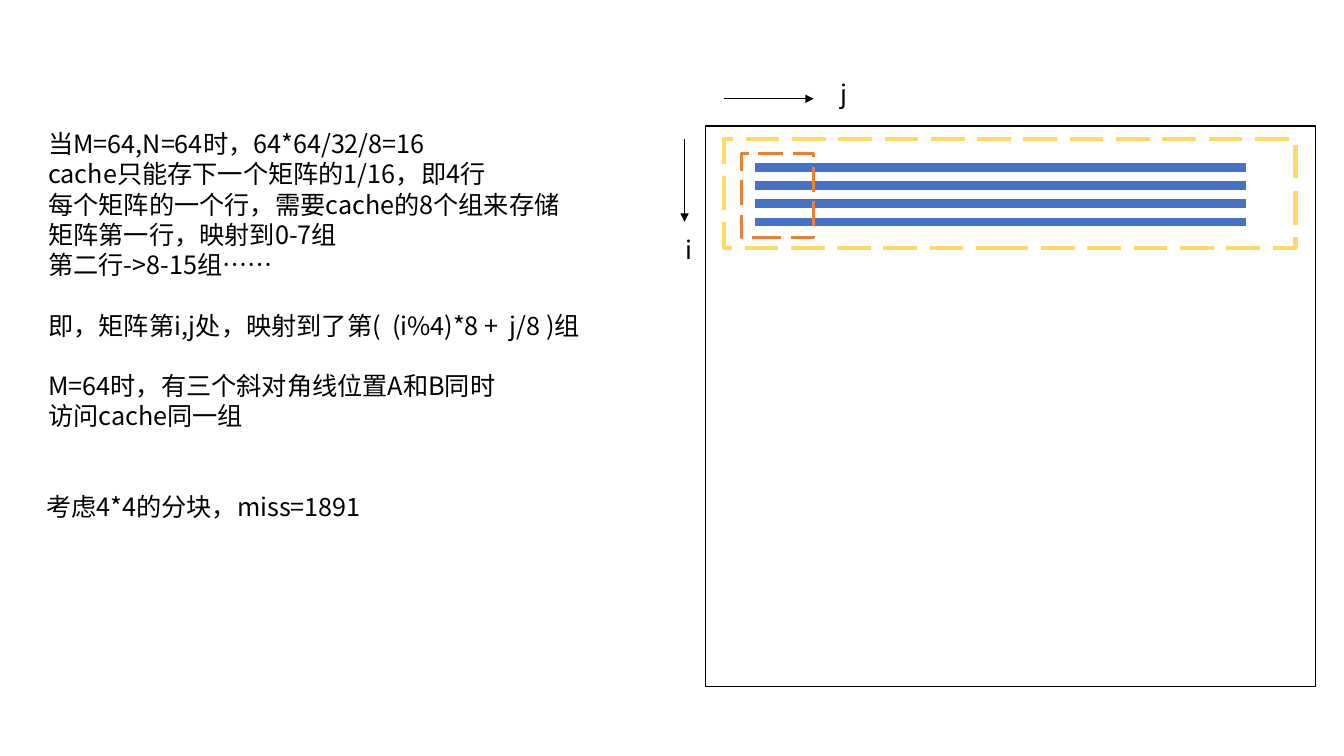
from lxml.etree import SubElement
from pptx import Presentation
from pptx.dml.color import RGBColor as RGB
from pptx.enum.dml import MSO_LINE as Dash
from pptx.enum.shapes import MSO_CONNECTOR as Link, MSO_SHAPE as Shape
from pptx.oxml.ns import qn
from pptx.util import Inches, Pt

FONT = "Noto Sans CJK SC"
COLORS = {"ink": "000000", "row": "4472C4", "band": "FFD966", "block": "ED7D31"}
LEAD = 21.7

RULES = [
    "当M=64,N=64时，64*64/32/8=16",
    "cache只能存下一个矩阵的1/16，即4行",
    "每个矩阵的一个行，需要cache的8个组来存储",
    "矩阵第一行，映射到0-7组",
    "第二行->8-15组……",
    "即，矩阵第i,j处，映射到了第(  (i%4)*8 +  j/8 )组",
]
CLASH = "M=64时，有三个斜对角线位置A和B同时访问cache同一组"
RESULT = "考虑4*4的分块，miss=1891"


def color(name):
    return RGB.from_string(COLORS[name])


def add_text(slide, box, lines, gaps=()):
    frame = slide.shapes.add_textbox(*map(Inches, box)).text_frame
    frame.word_wrap = True
    for n, line in enumerate(lines):
        para = frame.paragraphs[0] if n == 0 else frame.add_paragraph()
        para.text = line
        para.line_spacing = Pt(LEAD)
        if n in gaps:
            para.space_before = Pt(LEAD)
        font = para.font
        font.size = Pt(18)
        font.name = FONT
        font.color.rgb = color("ink")
        SubElement(font._rPr, qn("a:ea"), typeface=FONT)


def add_frame(slide, box, tint, width, dash=None):
    rect = slide.shapes.add_shape(Shape.RECTANGLE, *map(Inches, box))
    rect.shadow.inherit = False
    rect.fill.background()
    rect.line.color.rgb = color(tint)
    rect.line.width = Pt(width)
    if dash:
        rect.line.dash_style = dash


def add_line(slide, ends, tint, width, arrow=False):
    link = slide.shapes.add_connector(Link.STRAIGHT, *map(Inches, ends))
    link.line.color.rgb = color(tint)
    link.line.width = Pt(width)
    if arrow:
        SubElement(link.line._get_or_add_ln(), qn("a:tailEnd"), type="triangle")
    SubElement(link._element.spPr, qn("a:effectLst"))


def add_notes(slide, left, top, width):
    add_text(slide, (left, top, width, 2.22), RULES, gaps=(5,))
    add_text(slide, (left, top + 2.4, 4.74, 0.71), [CLASH])
    add_text(slide, (left - 0.02, top + 3.6, 3.8, 1.01), [RESULT])


def add_matrix(slide, left, top, width, height):
    add_frame(slide, (left, top, width, height), "ink", 1)
    for n in range(4):
        y = top + 0.41 + n * 0.18
        add_line(slide, (left + 0.49, y, left + 5.36, y), "row", 6)
    add_frame(slide, (left + 0.18, top + 0.13, width - 0.38, 1.08),
              "band", 3, Dash.LONG_DASH)
    add_frame(slide, (left + 0.35, top + 0.27, 0.72, 0.84),
              "block", 2.25, Dash.LONG_DASH)


def add_axes(slide, left, top):
    x, y = left - 0.21, top - 0.27
    add_line(slide, (left + 0.18, y, left + 1.07, y), "ink", 0.5, arrow=True)
    add_line(slide, (x, top + 0.13, x, top + 0.95), "ink", 0.5, arrow=True)
    add_text(slide, (left - 0.3, top + 1.02, 0.78, 0.4), ["i"])
    add_text(slide, (left + 1.28, top - 0.52, 0.16, 0.4), ["j"])


def main():
    deck = Presentation()
    deck.slide_width, deck.slide_height = Inches(13.33), Inches(7.5)
    slide = deck.slides.add_slide(deck.slide_layouts[6])
    add_notes(slide, 0.38, 1.22, 6.71)
    add_matrix(slide, 7, 1.25, 6.05, 5.56)
    add_axes(slide, 7, 1.25)
    deck.save("out.pptx")


if __name__ == "__main__":
    main()
